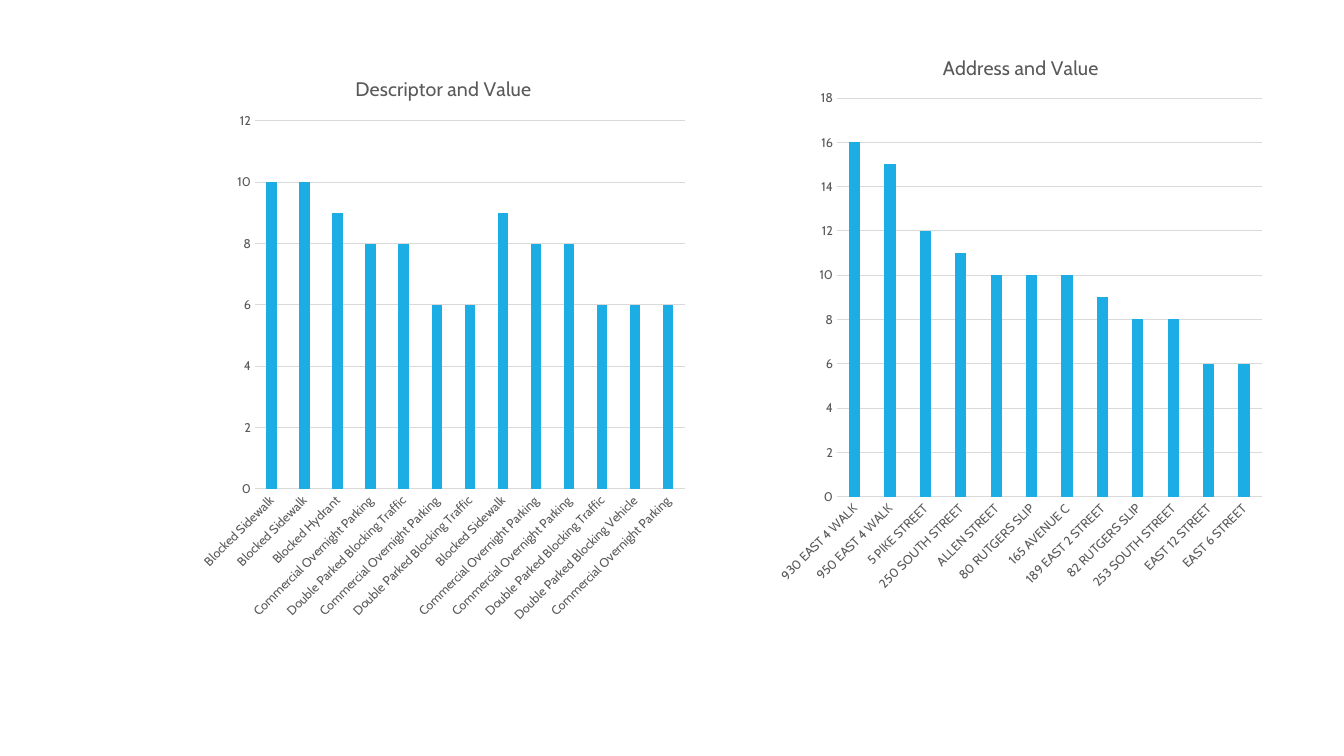
"""Build a slide with two column charts of parking complaints, by descriptor and by address."""
import lxml.etree
import pptx
import pptx.chart.data
import pptx.dml.color
import pptx.enum.chart
import pptx.oxml.ns
import pptx.util

Pt = pptx.util.Pt
qn = pptx.oxml.ns.qn
BLUE = pptx.dml.color.RGBColor(0x1C, 0xAD, 0xE4)
BLACK = pptx.dml.color.RGBColor(0x00, 0x00, 0x00)
GRAY = pptx.dml.color.RGBColor(0x59, 0x59, 0x59)
LIGHT_GRAY = pptx.dml.color.RGBColor(0xD9, 0xD9, 0xD9)

SIDEWALK = "Blocked Sidewalk"
OVERNIGHT = "Commercial Overnight Parking"
TRAFFIC = "Double Parked Blocking Traffic"

CHARTS = [
    {
        "title": "Descriptor and Value",
        "frame": (136, 34.5, 360, 418.5),
        "title_layout": {"x": 0.32, "y": 0.04},
        "plot_layout": {"x": 0.128, "y": 0.124, "w": 0.853, "h": 0.628},
        "maximum": 12,
        "rows": [
            (SIDEWALK, 10), (SIDEWALK, 10), ("Blocked Hydrant", 9),
            (OVERNIGHT, 8), (TRAFFIC, 8), (OVERNIGHT, 6), (TRAFFIC, 6),
            (SIDEWALK, 9), (OVERNIGHT, 8), (OVERNIGHT, 8), (TRAFFIC, 6),
            ("Double Parked Blocking Vehicle", 6), (OVERNIGHT, 6),
        ],
    },
    {
        "title": "Address and Value",
        "frame": (548.5, 19.5, 360, 411),
        "title_layout": {"x": 0.34, "y": 0.04},
        "plot_layout": {"x": 0.137, "y": 0.123, "w": 0.843, "h": 0.693},
        "maximum": 18,
        "rows": [
            ("930 EAST 4 WALK", 16), ("950 EAST 4 WALK", 15),
            ("5 PIKE STREET", 12), ("250 SOUTH STREET", 11),
            ("ALLEN STREET", 10), ("80 RUTGERS SLIP", 10),
            ("165 AVENUE C", 10), ("189 EAST 2 STREET", 9),
            ("82 RUTGERS SLIP", 8), ("253 SOUTH STREET", 8),
            ("EAST 12 STREET", 6), ("EAST 6 STREET", 6),
        ],
    },
]


def set_font(font, size, color):
    font.name = "Cabin"
    font.size = Pt(size)
    font.bold = False
    font.color.rgb = color


def set_layout(parent, index, settings):
    for old_layout in parent.findall(qn("c:layout")):
        parent.remove(old_layout)
    layout = lxml.etree.Element(qn("c:layout"))
    manual = lxml.etree.SubElement(layout, qn("c:manualLayout"))
    for name, value in settings.items():
        lxml.etree.SubElement(manual, qn(f"c:{name}")).set("val", str(value))
    parent.insert(index, layout)


deck = pptx.Presentation()
deck.slide_width = Pt(960)
deck.slide_height = Pt(540)
page = deck.slides.add_slide(deck.slide_layouts[6])

for details in CHARTS:
    categories, values = zip(*details["rows"])
    data = pptx.chart.data.CategoryChartData()
    data.categories = categories
    data.add_series("Series 1", values)
    left, top, width, height = details["frame"]
    chart = page.shapes.add_chart(
        pptx.enum.chart.XL_CHART_TYPE.COLUMN_CLUSTERED,
        Pt(left), Pt(top), Pt(width), Pt(height), data,
    ).chart
    set_font(chart.font, 10, BLACK)
    chart.has_legend = False

    chart.has_title = True
    title = chart.chart_title.text_frame
    title.text = details["title"]
    set_font(title.paragraphs[0].font, 14, GRAY)

    plot = chart.plots[0]
    plot.gap_width = 219
    plot.overlap = -27
    plot.vary_by_categories = False
    bars = plot.series[0].format.fill
    bars.solid()
    bars.fore_color.rgb = BLUE

    category_axis = chart.category_axis
    value_axis = chart.value_axis
    for axis in (category_axis, value_axis):
        axis.major_tick_mark = pptx.enum.chart.XL_TICK_MARK.NONE
        axis.minor_tick_mark = pptx.enum.chart.XL_TICK_MARK.NONE
        set_font(axis.tick_labels.font, 9, GRAY)
    value_axis.minimum_scale = 0
    value_axis.maximum_scale = details["maximum"]
    value_axis.major_unit = 2
    value_axis.format.line.fill.background()
    for line in (category_axis.format.line, value_axis.major_gridlines.format.line):
        line.color.rgb = LIGHT_GRAY
        line.width = Pt(0.75)

    chart_root = chart.element.find(qn("c:chart"))
    plot_area = chart_root.find(qn("c:plotArea"))
    label_body = plot_area.find(f"{qn('c:catAx')}/{qn('c:txPr')}/{qn('a:bodyPr')}")
    label_body.set("rot", "-2700000")
    label_body.set("vert", "horz")
    edges = {"xMode": "edge", "yMode": "edge"}
    set_layout(chart_root.find(qn("c:title")), 1, {**edges, **details["title_layout"]})
    set_layout(plot_area, 0, {"layoutTarget": "inner", **edges, **details["plot_layout"]})

deck.save("out.pptx")
